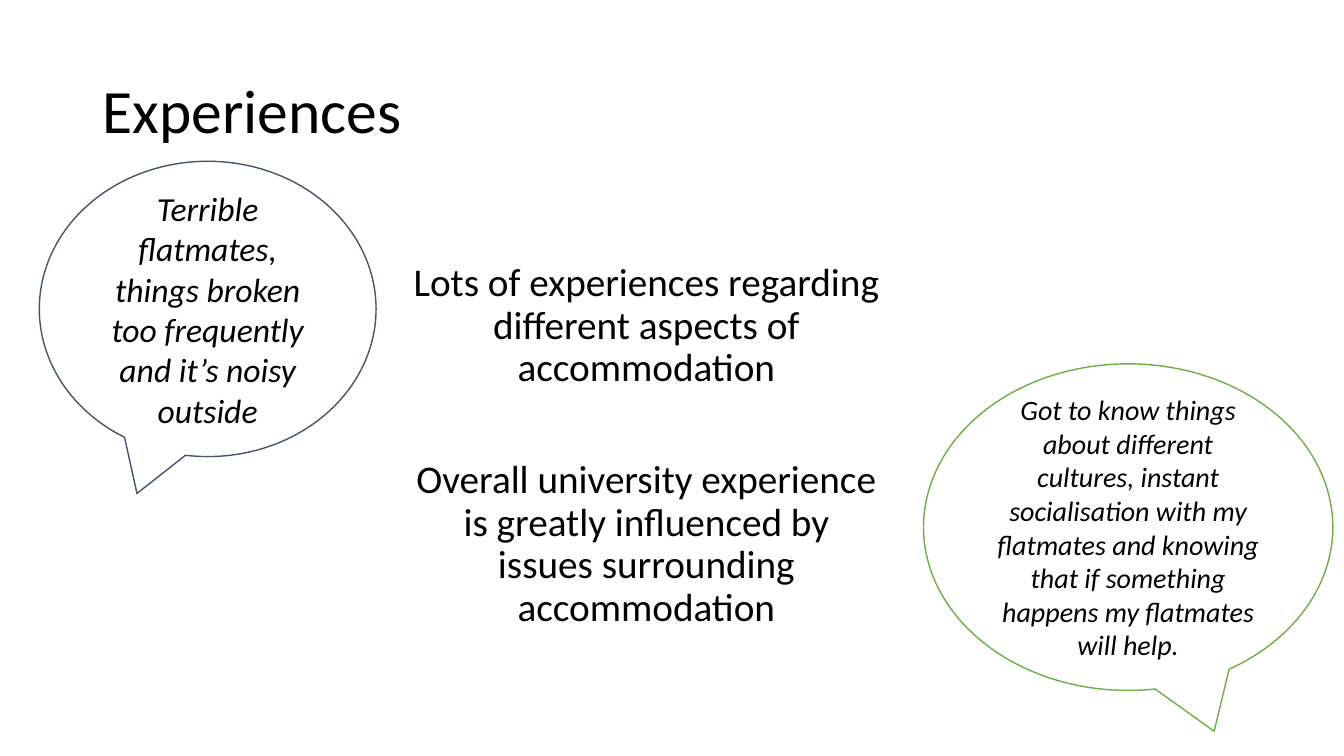
from pptx import Presentation, util as u
from pptx.dml.color import RGBColor
from pptx.enum import shapes, text

PX = 9144
FONT = "Calibri"
BLACK = "000000"
WHITE = "FFFFFF"


def hue(code):
    """Turn a hex string into a colour."""
    return RGBColor.from_string(code)


def box(at):
    """Scale a left, top, width, height tuple to EMU."""
    return [n * PX for n in at]


def write(frame, words, size, align, space=1.0, gap=0, slant=False):
    """Fill a frame with evenly styled paragraphs, with a gap between them."""
    frame.word_wrap = True
    for i, line in enumerate(words):
        para = frame.add_paragraph() if i else frame.paragraphs[0]
        para.text = line
        para.alignment = align
        para.line_spacing = space
        para.space_before = u.Pt(gap if i else 0)
        font = para.font
        font.name, font.size, font.italic = FONT, u.Pt(size), slant
        font.color.rgb = hue(BLACK)


def title(slide, at, words):
    """Add the slide heading."""
    frame = slide.shapes.add_textbox(*box(at)).text_frame
    frame.vertical_anchor = text.MSO_ANCHOR.MIDDLE
    write(frame, [words], 44, text.PP_ALIGN.LEFT, space=0.9)


def body(slide, at, words):
    """Add the centred main points below a deep top inset."""
    shape = slide.shapes.add_textbox(*box(at))
    shape.line.color.rgb = hue(WHITE)
    shape.line.width = u.Pt(0.75)
    frame = shape.text_frame
    frame.margin_top = 62 * PX
    write(frame, words, 28, text.PP_ALIGN.CENTER, space=0.9, gap=50)


def quote(slide, at, words, size, edge, side):
    """Add an oval speech bubble whose tail leans to one side."""
    kind = shapes.MSO_SHAPE.OVAL_CALLOUT
    shape = slide.shapes.add_shape(kind, *box(at))
    shape.shadow.inherit = False
    shape.adjustments[0] = side * 0.21
    shape.adjustments[1] = 0.625
    shape.fill.solid()
    shape.fill.fore_color.rgb = hue(WHITE)
    shape.line.color.rgb = hue(edge)
    shape.line.width = u.Pt(1)
    frame = shape.text_frame
    frame.vertical_anchor = text.MSO_ANCHOR.MIDDLE
    write(frame, [words], size, text.PP_ALIGN.CENTER, slant=True)


def main():
    """Build the slide and save it."""
    deck = Presentation()
    deck.slide_width, deck.slide_height = 1333 * PX, 750 * PX
    slide = deck.slides.add_slide(deck.slide_layouts[6])
    title(slide, (92, 40, 1150, 145), "Experiences")
    body(slide, (400, 199, 482, 476), [
        "Lots of experiences regarding different aspects of accommodation",
        "Overall university experience is greatly influenced by issues "
        "surrounding accommodation",
    ])
    quote(slide, (39, 160, 334, 293),
          "Terrible flatmates, things broken too frequently and it’s noisy "
          "outside", 24, "44546A", -1)
    quote(slide, (916, 361, 406, 324),
          "Got to know things about different cultures, instant socialisation "
          "with my flatmates and knowing that if something happens my "
          "flatmates will help.", 20, "70AD47", 1)
    deck.save("out.pptx")


if __name__ == "__main__":
    main()
